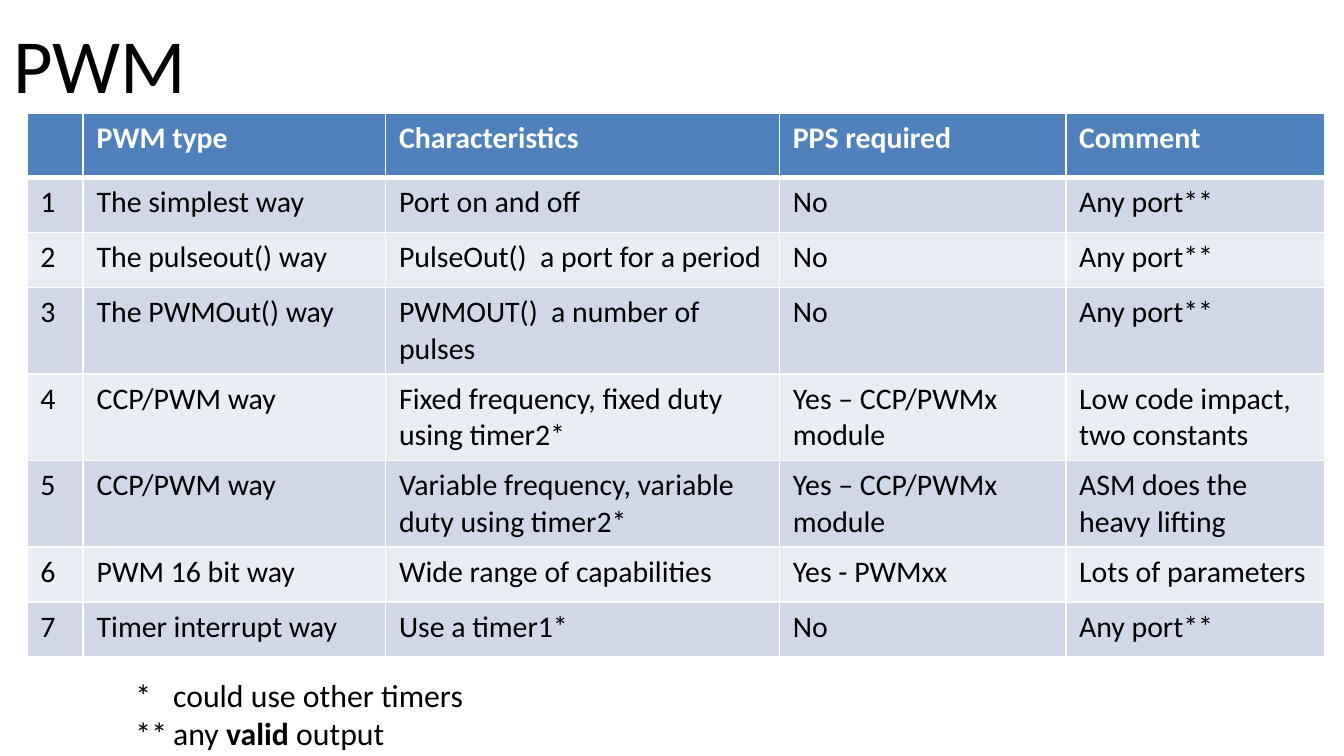
from lxml import etree
from pptx import Presentation
from pptx.dml.color import RGBColor
from pptx.enum.text import MSO_ANCHOR, PP_ALIGN
from pptx.oxml.ns import qn
from pptx.util import Inches, Pt

LEFT, MIDDLE = PP_ALIGN.LEFT, MSO_ANCHOR.MIDDLE
FONT = "Calibri"
COLORS = {"text": "000000", "white": "FFFFFF", "header": "4F81BD",
          "odd": "D0D8E8", "even": "E9EDF4"}

# Content
TITLE = "PWM"
HEADERS = ["", "PWM type", "Characteristics", "PPS required", "Comment"]
METHODS = [
    ("The simplest way", "Port on and off", "No", "Any port**"),
    ("The pulseout() way", "PulseOut()  a port for a period", "No", "Any port**"),
    ("The PWMOut() way", "PWMOUT()  a number of pulses", "No", "Any port**"),
    ("CCP/PWM way", "Fixed frequency, fixed duty using timer2*",
     "Yes – CCP/PWMx module", "Low code impact, two constants"),
    ("CCP/PWM way", "Variable frequency, variable duty using timer2*",
     "Yes – CCP/PWMx module", "ASM does the heavy lifting"),
    ("PWM 16 bit way", "Wide range of capabilities", "Yes - PWMxx",
     "Lots of parameters"),
    ("Timer interrupt way", "Use a timer1*", "No", "Any port**"),
]
# Each footnote is a list of (text, bold) runs
FOOTNOTES = [
    [("*\tcould use other timers", False)],
    [("**\tany ", False), ("valid", True), (" output", False)],
]
SLIDE_WIDTH = 10
COL_WIDTHS = [0.42, 2.25, 2.93, 2.13, 1.93]
HEADER_HEIGHT, ROW_HEIGHT = 0.48, 0.41


def add_run(p, text, size, color="text", bold=False):
    r = p.add_run()
    r.text = text
    style = {"name": FONT, "size": Pt(size), "bold": bold}
    for name, value in style.items():
        setattr(r.font, name, value)
    r.font.color.rgb = RGBColor.from_string(COLORS[color])


def add_borders(cell, top, bottom):
    """Draw white cell borders; line elements must precede the fill."""
    tc_pr = cell._tc.get_or_add_tcPr()
    sides = {"a:lnL": 1, "a:lnR": 1, "a:lnT": top, "a:lnB": bottom}
    for i, (tag, width) in enumerate(sides.items()):
        ln = etree.Element(qn(tag), w=str(Pt(width)))
        fill = etree.SubElement(ln, qn("a:solidFill"))
        etree.SubElement(fill, qn("a:srgbClr"), val=COLORS["white"])
        tc_pr.insert(i, ln)


def add_tab_stop(p, position):
    tabs = etree.SubElement(p._p.get_or_add_pPr(), qn("a:tabLst"))
    etree.SubElement(tabs, qn("a:tab"), pos=str(Inches(position)), algn="l")


# Widescreen 16:9 slide
prs = Presentation()
prs.slide_width = Inches(SLIDE_WIDTH)
prs.slide_height = Inches(SLIDE_WIDTH * 9 / 16)
s = prs.slides.add_slide(prs.slide_layouts[5])

# Title
title = s.shapes.title
title.left, title.top = Inches(0), Inches(0)
title.width, title.height = Inches(9), Inches(0.94)
title.text_frame.vertical_anchor = MIDDLE
p = title.text_frame.paragraphs[0]
p.alignment = LEFT
add_run(p, TITLE, 41)

# Table of PWM methods
rows = [HEADERS] + [(str(n), *m) for n, m in enumerate(METHODS, 1)]
heights = [HEADER_HEIGHT] + [ROW_HEIGHT] * len(METHODS)
table = s.shapes.add_table(
    len(rows), len(HEADERS), Inches(0.2), Inches(0.84),
    Inches(sum(COL_WIDTHS)), Inches(sum(heights))).table
for col, width in zip(table.columns, COL_WIDTHS):
    col.width = Inches(width)
for i, (row, height) in enumerate(zip(rows, heights)):
    table.rows[i].height = Inches(height)
    is_header = i == 0
    fill = "header" if is_header else "odd" if i % 2 else "even"
    for j, text in enumerate(row):
        cell = table.cell(i, j)
        cell.fill.solid()
        cell.fill.fore_color.rgb = RGBColor.from_string(COLORS[fill])
        # The rule under the header is thick on both sides of the edge
        add_borders(cell, top=3 if i == 1 else 1, bottom=3 if is_header else 1)
        if text:
            add_run(cell.text_frame.paragraphs[0], text, 16,
                    "white" if is_header else "text", is_header)

# Footnotes
tf = s.shapes.add_textbox(Inches(0.91), Inches(4.98),
                          Inches(8.03), Inches(0.67)).text_frame
tf.word_wrap = True
for i, runs in enumerate(FOOTNOTES):
    p = tf.add_paragraph() if i else tf.paragraphs[0]
    add_tab_stop(p, 0.28)
    for text, bold in runs:
        add_run(p, text, 17, bold=bold)

prs.save("out.pptx")
